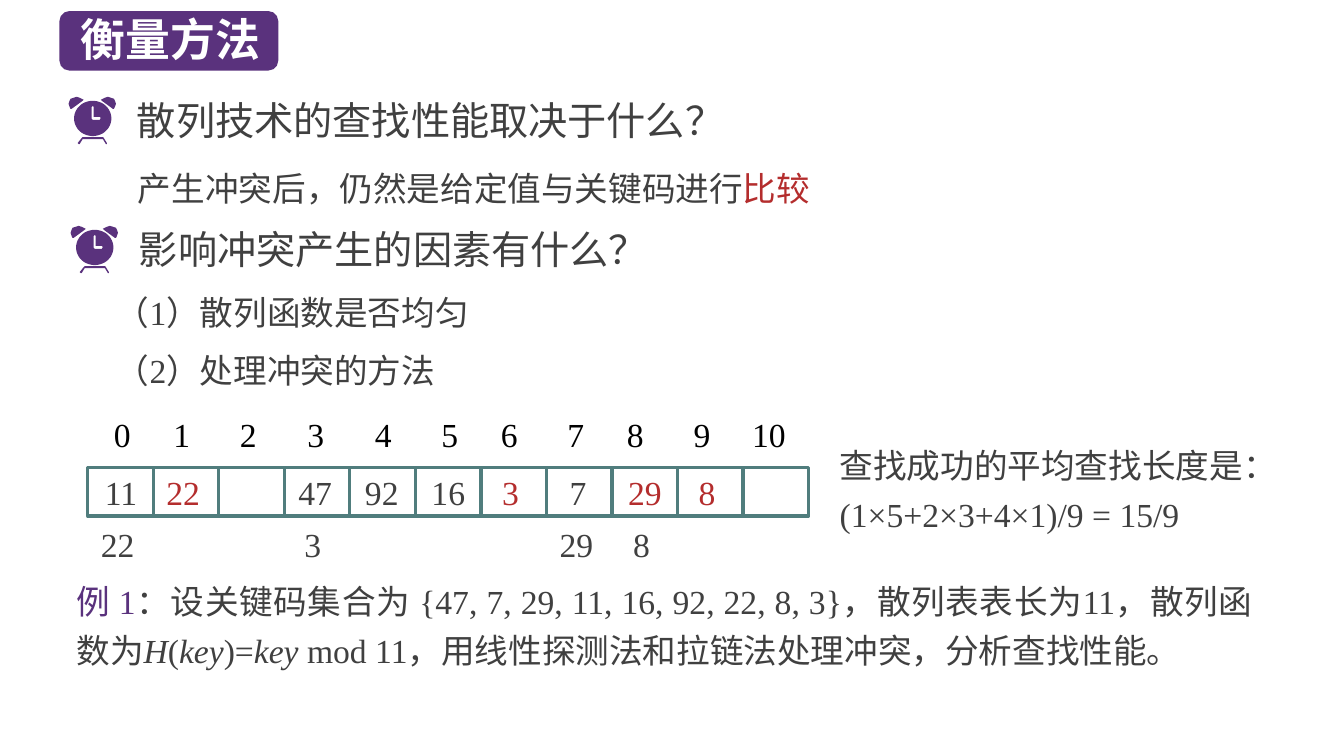
from math import cos, pi, radians, sin

from lxml.etree import SubElement
from pptx import Presentation
from pptx.dml.color import RGBColor
from pptx.enum.shapes import MSO_SHAPE
from pptx.enum.text import MSO_ANCHOR, MSO_AUTO_SIZE, PP_ALIGN
from pptx.oxml.ns import qn
from pptx.util import Inches, Pt

PURPLE, RED, GREY, TEAL = "5A327D", "B42D2D", "404040", "507D7D"
SANS, SERIF = "Noto Sans CJK SC", "Times New Roman"


def rgb(value):
    return RGBColor.from_string(value)


class SlideBuilder:
    def __init__(self, prs):
        self.s = prs.slides.add_slide(prs.slide_layouts[5])

    def format_run(self, r, size, font, color, bold=False, italic=False):
        f = r.font
        f.size, f.name, f.bold, f.italic = Pt(size), font, bold, italic
        f.color.rgb = rgb(color)
        SubElement(r._r.get_or_add_rPr(), qn("a:ea")).set("typeface", SANS)

    def title(self, text, box):
        sp = self.s.shapes.title
        sp.left, sp.top, sp.width, sp.height = map(Inches, box)
        tf = sp.text_frame
        tf.text = text
        tf.auto_size = MSO_AUTO_SIZE.NONE
        tf.vertical_anchor = MSO_ANCHOR.TOP
        tf.paragraphs[0].alignment = PP_ALIGN.LEFT
        self.format_run(tf.paragraphs[0].runs[0], 32, SANS, "FFFFFF", bold=True)
        return sp

    def text(self, paragraphs, box, size=24, font=SERIF, inset=(0.1, 0.05),
             spacing=None, align=PP_ALIGN.LEFT, tabs=()):
        """Each paragraph is a list of (text, colour, italic) runs."""
        sp = self.s.shapes.add_textbox(*map(Inches, box))
        tf = sp.text_frame
        tf.word_wrap = True
        tf.margin_left = tf.margin_right = Inches(inset[0])
        tf.margin_top = tf.margin_bottom = Inches(inset[1])
        for i, runs in enumerate(paragraphs):
            p = tf.add_paragraph() if i else tf.paragraphs[0]
            p.alignment = align
            if spacing:
                p.line_spacing = Pt(spacing)
            if tabs:
                stops = SubElement(p._p.get_or_add_pPr(), qn("a:tabLst"))
                for pos in tabs:
                    tab = SubElement(stops, qn("a:tab"))
                    tab.set("pos", str(Inches(pos)))
                    tab.set("algn", "l")
            for content, color, italic in runs:
                r = p.add_run()
                r.text = content
                self.format_run(r, size, font, color, italic=italic)
        return sp

    def shape(self, kind, box, fill=None, line=None):
        sp = self.s.shapes.add_shape(kind, *map(Inches, box))
        self.paint(sp, fill, line)
        return sp

    def paint(self, sp, fill=None, line=None):
        sp.shadow.inherit = False
        if fill:
            sp.fill.solid()
            sp.fill.fore_color.rgb = rgb(fill)
        else:
            sp.fill.background()
        if line:
            sp.line.color.rgb = rgb(line)
            sp.line.width = Pt(2.25)
        else:
            sp.line.fill.background()

    def outline(self, shapes, contours, x, y):
        """Draw closed contours, given in inches from (x, y)."""
        fb = None
        for contour in contours:
            pts = [((x + a) * 1000, (y + b) * 1000) for a, b in contour]
            if fb is None:
                fb = shapes.build_freeform(*pts[0], scale=Inches(1) / 1000)
            else:
                fb.move_to(*pts[0])
            fb.add_line_segments(pts[1:], close=True)
        self.paint(fb.convert_to_shape(), PURPLE)

    def clock(self, x, y):
        shapes = self.s.shapes.add_group_shape().shapes
        # Feet
        self.outline(shapes, [[
            (0.09, 0.46), (0.13, 0.41), (0.14, 0.4), (0.34, 0.4), (0.35, 0.41),
            (0.38, 0.46), (0.38, 0.47), (0.37, 0.47), (0.34, 0.42),
            (0.14, 0.42), (0.11, 0.47), (0.1, 0.47)]], x, y)
        # Bells, the right one mirrored
        bell = [(0.02, 0.12), (0.01, 0.1), (0, 0.07), (0.01, 0.04), (0.02, 0.02),
                (0.05, 0.01), (0.08, 0), (0.11, 0.01), (0.13, 0.02),
                (0.15, 0.03), (0.14, 0.04), (0.03, 0.12)]
        self.outline(shapes, [bell], x, y)
        self.outline(shapes, [[(0.47 - a, b) for a, b in bell]], x, y)
        # Face with the hands cut out
        face = [(0.24 + 0.185 * cos(radians(a)), 0.215 + 0.175 * sin(radians(a)))
                for a in range(0, 360, 6)]
        hands = [(0.23, 0.1), (0.24, 0.09), (0.25, 0.1), (0.25, 0.2), (0.31, 0.2),
                 (0.32, 0.21), (0.31, 0.23), (0.24, 0.23), (0.23, 0.22)]
        self.outline(shapes, [face, hands], x, y)


def main():
    prs = Presentation()
    prs.slide_width, prs.slide_height = Inches(13.33), Inches(7.5)
    b = SlideBuilder(prs)

    # Title on its badge
    title = b.title("衡量方法", (0.7, 0.07, 2.25, 0.64))
    badge = b.shape(MSO_SHAPE.ROUNDED_RECTANGLE, (0.59, 0.11, 2.17, 0.59), PURPLE)
    title._element.addprevious(badge._element)

    # Questions and answers
    for question, x, y in (("散列技术的查找性能取决于什么？", 0.68, 0.96),
                           ("影响冲突产生的因素有什么？", 0.7, 2.24)):
        b.clock(x, y)
        b.text([[(question, GREY, False)]], (x + 0.58, y - 0.05, 9.91, 0.57),
               size=28, font=SANS)
    b.text([[("产生冲突后，仍然是给定值与关键码进行", GREY, False),
             ("比较", RED, False)]],
           (1.27, 1.53, 9.18, 0.59), font=SANS, spacing=35)
    for factor, y in (("（1）散列函数是否均匀", 2.85), ("（2）处理冲突的方法", 3.42)):
        b.text([[(factor, GREY, False)]], (1.15, y, 11.36, 0.5), inset=(0, 0.05))

    # Example
    b.text([[("例 1", PURPLE, False),
             ("：设关键码集合为 {47, 7, 29, 11, 16, 92, 22, 8, 3}，"
              "散列表表长为11，散列函数为", GREY, False),
             ("H", GREY, True), ("(", GREY, False), ("key", GREY, True),
             (")=", GREY, False), ("key", GREY, True),
             (" mod 11，用线性探测法和拉链法处理冲突，分析查找性能。", GREY, False)]],
           (0.66, 5.63, 11.86, 1.08), spacing=35, align=PP_ALIGN.JUSTIFY)

    # Hash table: cells, indices, stored keys, collided keys
    for i in range(11):
        b.shape(MSO_SHAPE.RECTANGLE, (0.87 + 0.65 * i, 4.64, 0.65, 0.48), line=TEAL)
    b.text([[("".join(f"\t{i}" for i in range(11)), "000000", False)]],
           (0.87, 4.11, 7.11, 0.39), inset=(0.1, 0),
           tabs=(0.16, 0.75, 1.41, 2.08, 2.75, 3.41, 4, 4.66, 5.25, 5.91, 6.49))
    stored = [("11", 1.04, GREY), ("22", 1.65, RED), ("47", 2.96, GREY),
              ("92", 3.62, GREY), ("16", 4.28, GREY), ("3", 4.98, RED),
              ("7", 5.65, GREY), ("29", 6.23, RED), ("8", 6.93, RED)]
    collided = [("22", 1, GREY), ("3", 3.02, GREY), ("29", 5.55, GREY),
                ("8", 6.28, GREY)]
    for keys, y in ((stored, 4.68), (collided, 5.2)):
        for key, x, color in keys:
            b.text([[(key, color, False)]], (x, y, 0.215 * len(key), 0.39),
                   inset=(0, 0))

    # Average search length
    b.text([[("查找成功的平均查找长度是：", GREY, False)],
            [("(1×5+2×3+4×1)/9 = 15/9", GREY, False)]],
           (8.23, 4.28, 4.69, 1.08), spacing=35, align=PP_ALIGN.JUSTIFY)

    prs.save("out.pptx")


if __name__ == "__main__":
    main()
